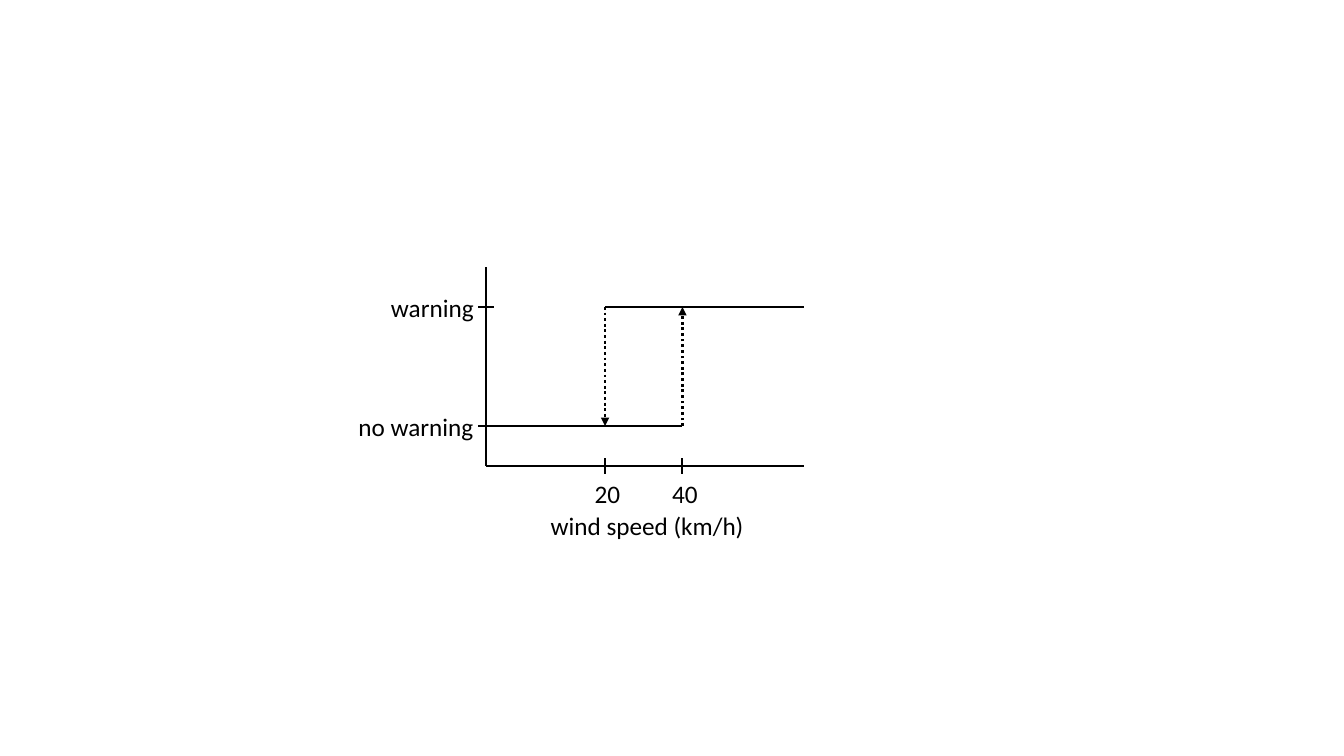
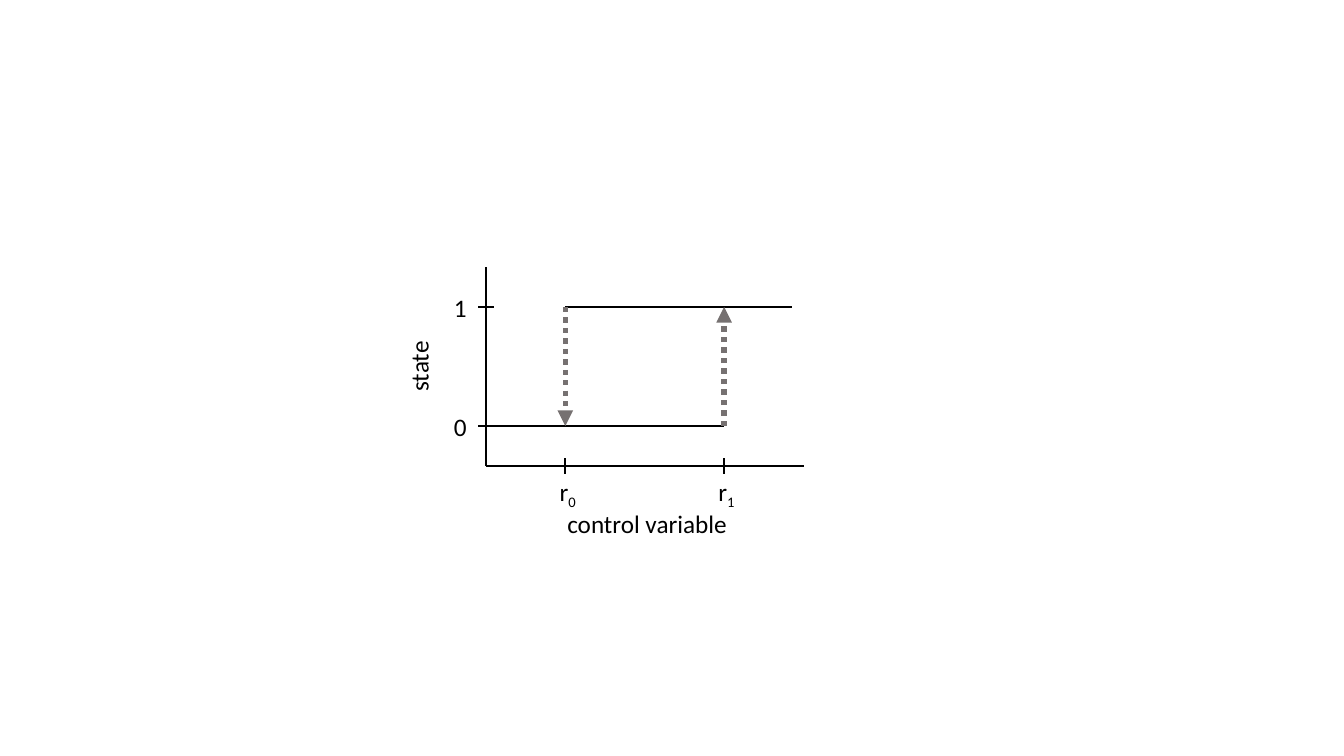
from dataclasses import dataclass

from lxml.etree import SubElement
from pptx import Presentation
from pptx.dml.color import RGBColor
from pptx.enum.dml import MSO_LINE_DASH_STYLE as Dash
from pptx.enum.shapes import MSO_CONNECTOR as Connector
from pptx.enum.text import MSO_ANCHOR as Anchor
from pptx.enum.text import MSO_AUTO_SIZE as AutoSize
from pptx.enum.text import PP_ALIGN as Align
from pptx.oxml.ns import qn
from pptx.util import Cm, Inches, Pt

COLORS = {"ink": "000000", "gray": "767171"}
FONT, TEXT_SIZE = "Calibri", 18

# Plot grid: one cell is 1 cm, rows count upwards from the origin
ORIGIN_X, ORIGIN_Y = Inches(4.82), Inches(4.62)
AXIS_COLUMNS, AXIS_ROWS = 8, 5
LOW_ROW, HIGH_ROW = 1, 4
TICK_REACH = 0.2
TICK_LABEL_ROW = -0.69
LABEL_HEIGHT = 1.02
AXIS_WEIGHT, STATE_WEIGHT = 1.5, 2


@dataclass
class Hysteresis:
    low_label: tuple      # text, width
    high_label: tuple
    label_gap: float      # from the vertical axis to the label boxes
    fall: float           # column where the state drops
    rise: float           # column where the state climbs
    end: float            # column where the upper state line ends
    fall_label: tuple     # text, subscript
    rise_label: tuple
    tick_label_width: float
    title: tuple          # text, width, row
    arrow_color: str
    arrow_weight: float


def grid_x(column):
    return ORIGIN_X + Cm(column)


def grid_y(row):
    return ORIGIN_Y - Cm(row)


def add_line(slide, start, end, weight, color="ink", arrow=False):
    line = slide.shapes.add_connector(
        Connector.STRAIGHT, grid_x(start[0]), grid_y(start[1]),
        grid_x(end[0]), grid_y(end[1]))
    line.line.color.rgb = RGBColor.from_string(COLORS[color])
    line.line.width = Pt(weight)
    properties = line._element.spPr
    if arrow:
        line.line.dash_style = Dash.ROUND_DOT
        SubElement(properties.find(qn("a:ln")), qn("a:tailEnd"), type="triangle")
    SubElement(properties, qn("a:effectLst"))


def add_label(slide, text, width, column, row, subscript="", rotation=0):
    """Place a label box centred on a grid point."""
    box = slide.shapes.add_textbox(
        grid_x(column - width / 2), grid_y(row + LABEL_HEIGHT / 2),
        Cm(width), Cm(LABEL_HEIGHT))
    box.rotation = rotation
    frame = box.text_frame
    frame.word_wrap = False
    frame.auto_size = AutoSize.SHAPE_TO_FIT_TEXT
    frame.vertical_anchor = Anchor.MIDDLE
    paragraph = frame.paragraphs[0]
    paragraph.alignment = Align.CENTER
    for part in filter(None, (text, subscript)):
        run = paragraph.add_run()
        run.text = part
        run.font.name = FONT
        run.font.size = Pt(TEXT_SIZE)
        run.font.color.rgb = RGBColor.from_string(COLORS["ink"])
    if subscript:
        run._r.get_or_add_rPr().set("baseline", "-25000")


def add_axes(slide, plot):
    add_line(slide, (0, 0), (AXIS_COLUMNS, 0), AXIS_WEIGHT)
    add_line(slide, (0, 0), (0, AXIS_ROWS), AXIS_WEIGHT)
    # State ticks
    levels = ((LOW_ROW, plot.low_label), (HIGH_ROW, plot.high_label))
    for row, (text, width) in levels:
        add_line(slide, (-TICK_REACH, row), (TICK_REACH, row), AXIS_WEIGHT)
        add_label(slide, text, width, -plot.label_gap - width / 2, row)
    # Threshold ticks
    thresholds = ((plot.fall, plot.fall_label), (plot.rise, plot.rise_label))
    for column, (text, subscript) in thresholds:
        add_line(slide, (column, -TICK_REACH), (column, TICK_REACH), AXIS_WEIGHT)
        add_label(slide, text, plot.tick_label_width, column + 0.06,
                  TICK_LABEL_ROW, subscript)
    text, width, row = plot.title
    add_label(slide, text, width, AXIS_COLUMNS / 2 + 0.06, row)


def add_loop(slide, plot):
    add_line(slide, (0, LOW_ROW), (plot.rise, LOW_ROW), STATE_WEIGHT)
    add_line(slide, (plot.fall, HIGH_ROW), (plot.end, HIGH_ROW), STATE_WEIGHT)
    switches = ((plot.rise, LOW_ROW, HIGH_ROW), (plot.fall, HIGH_ROW, LOW_ROW))
    for column, start, end in switches:
        add_line(slide, (column, start), (column, end),
                 plot.arrow_weight, plot.arrow_color, arrow=True)


def add_plot_slide(presentation, plot):
    slide = presentation.slides.add_slide(presentation.slide_layouts[6])
    add_axes(slide, plot)
    add_loop(slide, plot)
    return slide


def main():
    presentation = Presentation()
    presentation.slide_width = Inches(13.33)
    presentation.slide_height = Inches(7.5)

    # Wind warning example
    add_plot_slide(presentation, Hysteresis(
        low_label=("no warning", 3.45), high_label=("warning", 2.62),
        label_gap=0.04, fall=3, rise=4.95, end=8,
        fall_label=("20", ""), rise_label=("40", ""), tick_label_width=1.17,
        title=("wind speed (km/h)", 5.44, -1.5),
        arrow_color="ink", arrow_weight=2))

    # General case
    general = add_plot_slide(presentation, Hysteresis(
        low_label=("0", 0.84), high_label=("1", 0.84),
        label_gap=0.23, fall=2, rise=6, end=7.72,
        fall_label=("r", "0"), rise_label=("r", "1"), tick_label_width=0.97,
        title=("control variable", 4.57, -1.45),
        arrow_color="gray", arrow_weight=3.75))
    add_label(general, "state", 1.78, -1.7, (LOW_ROW + HIGH_ROW) / 2, rotation=270)

    presentation.save("out.pptx")


main()
